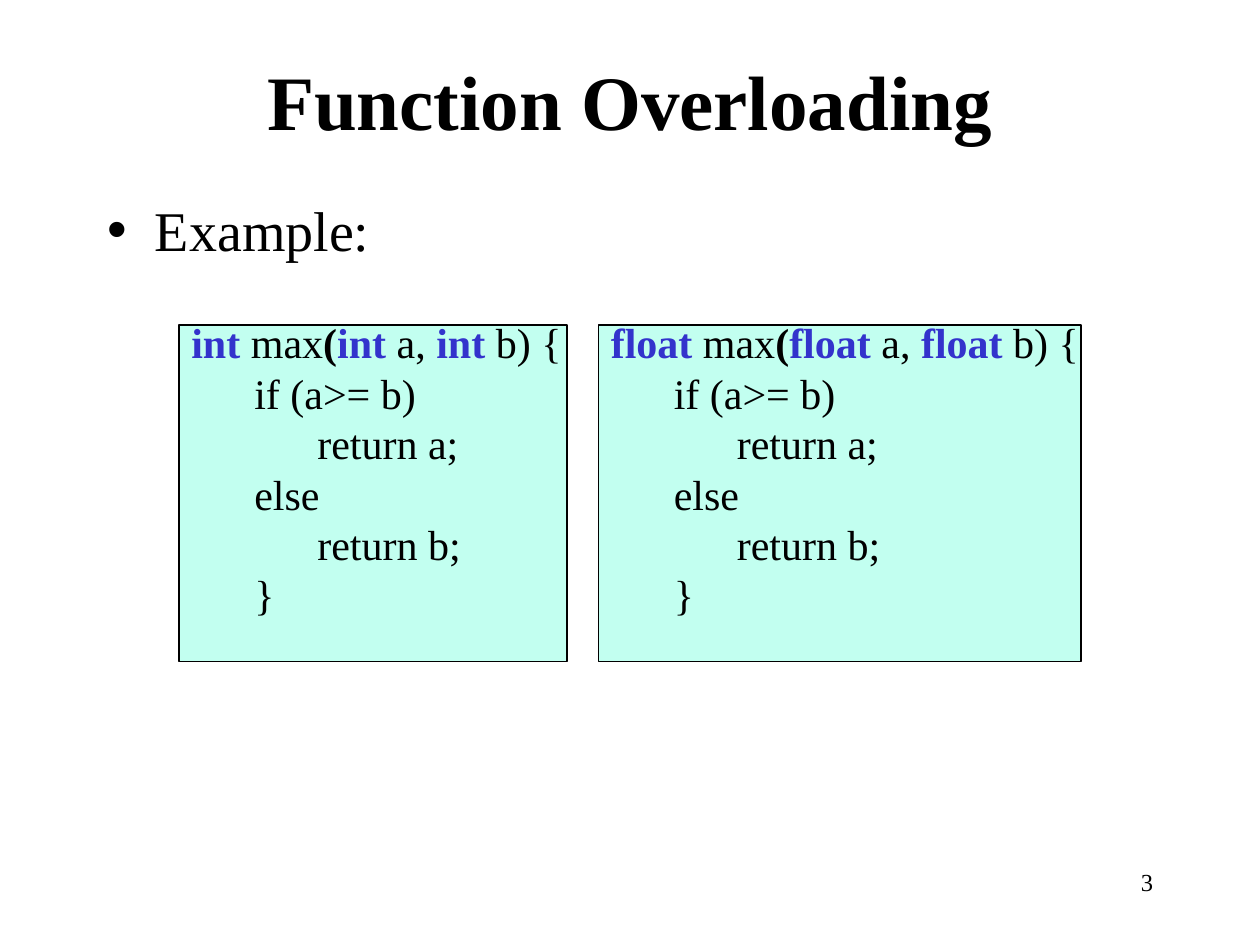
from dataclasses import dataclass
from pptx import Presentation
from pptx.dml.color import RGBColor as RGB
from pptx.enum.shapes import MSO_SHAPE as Shape
from pptx.enum.text import MSO_ANCHOR as Anchor, MSO_AUTO_SIZE as Fit, PP_ALIGN as Align
from pptx.oxml import parse_xml
from pptx.oxml.ns import nsdecls
from pptx.util import Inches, Pt


@dataclass(frozen=True)
class Theme:
    font: str = "Times New Roman"
    ink: RGB = RGB(0, 0, 0)
    key: RGB = RGB(0x33, 0x33, 0xCC)
    panel: RGB = RGB(0xC2, 0xFF, 0xF0)
    title: int = 44
    body: int = 32
    code: int = 24
    leading: float = 28.8
    number: int = 14


THEME = Theme()


def style(run, size, bold=False, color=THEME.ink):
    font = run.font
    font.name, font.size, font.bold = THEME.font, Pt(size), bold
    font.color.rgb = color


def place(shape, box):
    shape.left, shape.top, shape.width, shape.height = map(Inches, box)


def indent(para, left, first=0):
    props = para._p.get_or_add_pPr()
    props.set("marL", str(Inches(left)))
    props.set("indent", str(Inches(first)))
    return props


def add_title(slide, box, text):
    shape = slide.shapes.title
    place(shape, box)
    frame = shape.text_frame
    frame.text = text
    frame.auto_size = Fit.NONE
    frame.vertical_anchor = Anchor.MIDDLE
    para = frame.paragraphs[0]
    para.alignment = Align.CENTER
    style(para.runs[0], THEME.title, bold=True)


def add_list(slide, box, items):
    shape = slide.placeholders[1]
    place(shape, box)
    frame = shape.text_frame
    frame.text = "\n".join(items)
    frame.auto_size = Fit.NONE
    for spot, para in enumerate(frame.paragraphs):
        props = indent(para, 0.38, -0.38)
        props.append(parse_xml(f'<a:buChar {nsdecls("a")} char="•"/>'))
        para.space_before = Pt(8 if spot else 0)
        style(para.runs[0], THEME.body)


def add_code(slide, box, kind):
    shape = slide.shapes.add_shape(Shape.RECTANGLE, *map(Inches, box))
    shape.shadow.inherit = False
    shape.fill.solid()
    shape.fill.fore_color.rgb = THEME.panel
    shape.line.color.rgb = THEME.ink
    shape.line.width = Pt(0.75)

    frame = shape.text_frame
    frame.word_wrap = True
    frame.vertical_anchor = Anchor.MIDDLE
    frame.margin_left, frame.margin_right = Inches(0.1), 0
    frame.margin_top, frame.margin_bottom = 0, Inches(0.4)
    lines = ["", "if (a>= b)", "\treturn a;", "else", "\treturn b;", "}"]
    frame.text = "\n".join(lines)
    head, *rest = frame.paragraphs
    for para in frame.paragraphs:
        para.alignment = Align.LEFT
        para.line_spacing = Pt(THEME.leading)

    ink, key = THEME.ink, THEME.key
    parts = [(kind + " ", True, key), ("max", False, ink), ("(", True, ink),
             (kind, True, key), (" a, ", False, ink),
             (kind, True, key), (" b) {", False, ink)]
    for text, bold, color in parts:
        run = head.add_run()
        run.text = text
        style(run, THEME.code, bold, color)
    for para in rest:
        indent(para, 0.5)
        style(para.runs[0], THEME.code)


def add_number(slide, box, text):
    frame = slide.shapes.add_textbox(*map(Inches, box)).text_frame
    frame.word_wrap = True
    frame.text = text
    para = frame.paragraphs[0]
    para.alignment = Align.RIGHT
    style(para.runs[0], THEME.number)


def main():
    deck = Presentation()
    deck.slide_width, deck.slide_height = Inches(10), Inches(7.5)
    slide = deck.slides.add_slide(deck.slide_layouts[1])
    add_title(slide, (0.75, 0.17, 8.5, 1.25), "Function Overloading")
    add_list(slide, (0.75, 1.5, 8.5, 4.5), ["Example:"])

    left, top, high, gap = 1.42, 2.58, 2.67, 0.25
    for kind, wide in (("int", 3.08), ("float", 3.83)):
        add_code(slide, (left, top, wide, high), kind)
        left += wide + gap

    add_number(slide, (7.17, 6.83, 2.08, 0.5), "3")
    deck.save("out.pptx")


if __name__ == "__main__":
    main()
